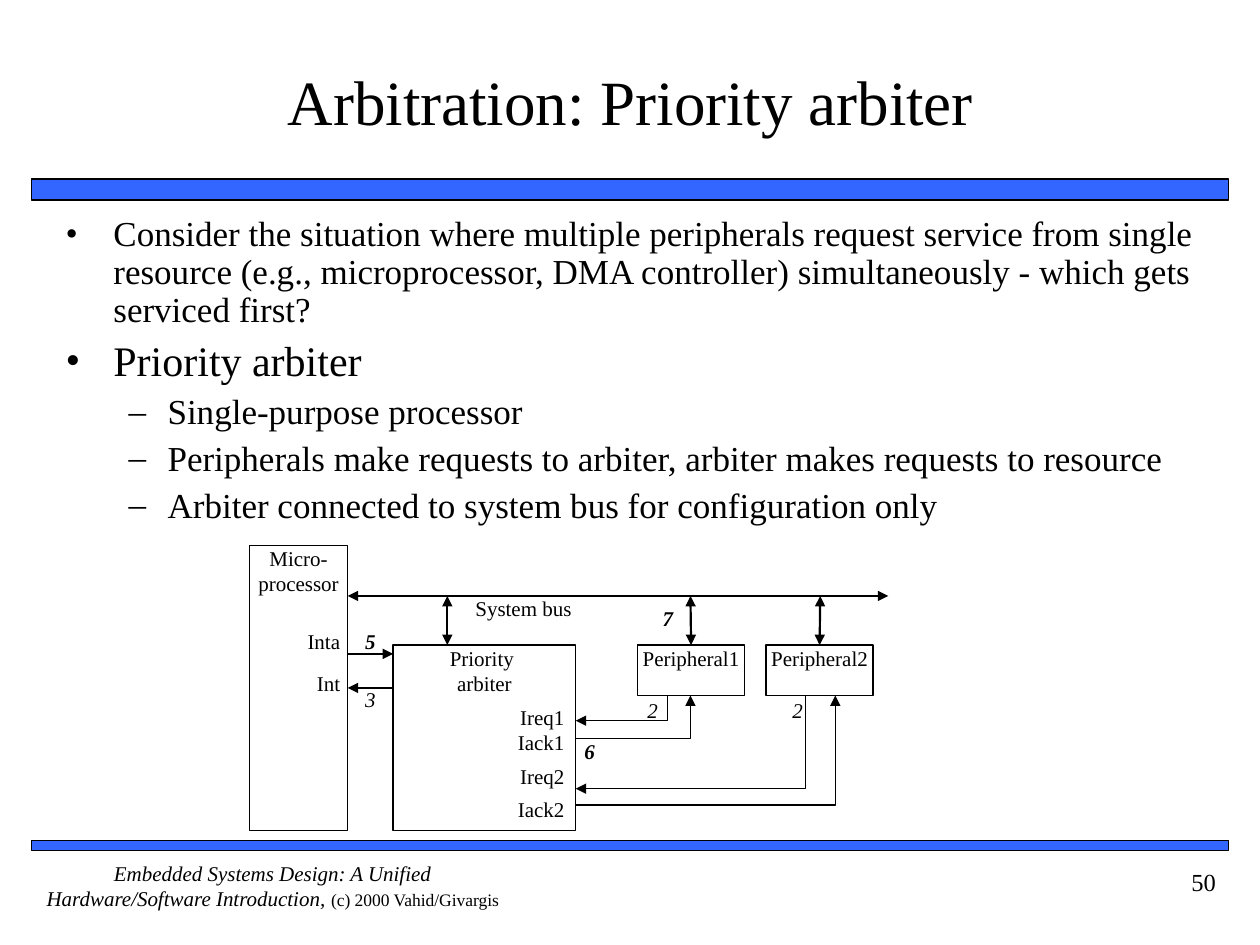
from dataclasses import dataclass

from lxml.etree import SubElement
from pptx import Presentation
from pptx.dml.color import RGBColor
from pptx.enum.shapes import MSO_CONNECTOR, MSO_SHAPE
from pptx.enum.text import MSO_ANCHOR, MSO_AUTO_SIZE, PP_ALIGN as Align
from pptx.oxml.ns import qn
from pptx.util import Inches, Pt


@dataclass(frozen=True)
class Theme:
    font: str = "Times New Roman"
    ink: RGBColor = RGBColor(0, 0, 0)
    paper: RGBColor = RGBColor(255, 255, 255)
    bar: RGBColor = RGBColor(0x33, 0x66, 0xFF)
    title: float = 36
    heading: float = 24
    body: float = 20
    number: float = 14
    label: float = 12
    credit: float = 10
    thin: float = 0.75
    bus: float = 1.25


@dataclass(frozen=True)
class Box:
    left: float
    top: float
    width: float
    height: float
    text: str = ""


@dataclass(frozen=True)
class Label:
    text: str
    left: float
    top: float
    width: float = 0.12
    align: Align = Align.CENTER
    bold: bool = False
    italic: bool = False


@dataclass(frozen=True)
class Bullet:
    text: str
    level: int = 0
    size: float = 20
    before: float = 5


THEME = Theme()


def style_run(run, size: float, bold: bool = False, italic: bool = False) -> None:
    font = run.font
    font.name, font.size, font.bold, font.italic = THEME.font, Pt(size), bold, italic
    font.color.rgb = THEME.ink


def set_margins(frame, x: float = 0, y: float = 0) -> None:
    frame.word_wrap = True
    frame.auto_size = MSO_AUTO_SIZE.NONE
    frame.margin_left = frame.margin_right = Inches(x)
    frame.margin_top = frame.margin_bottom = Inches(y)


def place(shape, box: Box) -> None:
    shape.left, shape.top = Inches(box.left), Inches(box.top)
    shape.width, shape.height = Inches(box.width), Inches(box.height)


def add_box(slide, box: Box, fill: RGBColor, weight: float):
    shape = slide.shapes.add_shape(
        MSO_SHAPE.RECTANGLE, *map(Inches, (box.left, box.top, box.width, box.height)))
    shape.shadow.inherit = False
    shape.fill.solid()
    shape.fill.fore_color.rgb = fill
    shape.line.color.rgb = THEME.ink
    shape.line.width = Pt(weight)
    if box.text:
        frame = shape.text_frame
        set_margins(frame)
        frame.vertical_anchor = MSO_ANCHOR.TOP
        frame.text = box.text
        for paragraph in frame.paragraphs:
            paragraph.alignment = Align.CENTER
            style_run(paragraph.runs[0], THEME.label)
    return shape


def add_text(slide, label: Label, height: float = 0.2, size: float = THEME.label):
    area = slide.shapes.add_textbox(
        *map(Inches, (label.left, label.top, label.width, height)))
    set_margins(area.text_frame)
    area.text_frame.text = label.text
    paragraph = area.text_frame.paragraphs[0]
    paragraph.alignment = label.align
    style_run(paragraph.runs[0], size, label.bold, label.italic)
    return area


def style_arrow(arrow, weight: float, both: bool = False) -> None:
    arrow.line.color.rgb = THEME.ink
    arrow.line.width = Pt(weight)
    properties = arrow._element.spPr
    outline = properties.find(qn("a:ln"))
    for end in ("a:headEnd", "a:tailEnd") if both else ("a:tailEnd",):
        SubElement(outline, qn(end), type="triangle")


def add_arrow(slide, start: tuple, end: tuple, weight: float, both: bool = False):
    arrow = slide.shapes.add_connector(
        MSO_CONNECTOR.STRAIGHT, *map(Inches, (*start, *end)))
    style_arrow(arrow, weight, both)
    SubElement(arrow._element.spPr, qn("a:effectLst"))
    return arrow


def add_route(slide, points: list[tuple]) -> None:
    start, *rest = [(Inches(x), Inches(y)) for x, y in points]
    builder = slide.shapes.build_freeform(*start)
    builder.add_line_segments(rest, close=False)
    route = builder.convert_to_shape()
    route.shadow.inherit = False
    route.fill.background()
    style_arrow(route, THEME.thin)


def write_bullets(frame, bullets: list[Bullet]) -> None:
    frame.text = "\n".join(bullet.text for bullet in bullets)
    for paragraph, bullet in zip(frame.paragraphs, bullets):
        paragraph.level = bullet.level
        paragraph.line_spacing = 0.9
        paragraph.space_before = Pt(bullet.before)
        style_run(paragraph.runs[0], bullet.size)
        mark, margin, hang = (("•", 0.38, 0.38), ("–", 0.81, 0.31))[bullet.level]
        properties = paragraph._p.get_or_add_pPr()
        properties.set("marL", str(Inches(margin)))
        properties.set("indent", str(-Inches(hang)))
        SubElement(properties, qn("a:buFont"), typeface=THEME.font)
        SubElement(properties, qn("a:buChar"), char=mark)


def add_frame(slide) -> None:
    # Coloured bars, footer and page number
    for bar in (Box(0.25, 1.42, 9.5, 0.17), Box(0.25, 6.67, 9.5, 0.08)):
        add_box(slide, bar, THEME.bar, 1)
    footer = add_text(slide, Label(
        "Embedded Systems Design: A Unified Hardware/Software Introduction, ",
        0.25, 6.83, 3.83, italic=True), 0.5)
    credit = footer.text_frame.paragraphs[0].add_run()
    credit.text = "(c) 2000 Vahid/Givargis"
    style_run(credit, THEME.credit)
    number = add_text(slide, Label("50", 8.75, 6.83, 1, Align.RIGHT), 0.5, THEME.number)
    set_margins(number.text_frame, 0.1, 0.05)
    number.text_frame.paragraphs[0].space_before = Pt(8.8)


def add_content(slide) -> None:
    title, body = slide.shapes.title, slide.placeholders[1]
    place(title, Box(0.42, 0.17, 9.17, 1.25))
    set_margins(title.text_frame, 0, 0.05)
    title.text_frame.vertical_anchor = MSO_ANCHOR.MIDDLE
    title.text_frame.text = "Arbitration: Priority arbiter"
    title.text_frame.paragraphs[0].alignment = Align.CENTER
    style_run(title.text_frame.paragraphs[0].runs[0], THEME.title)

    place(body, Box(0.42, 1.67, 9.17, 2.63))
    set_margins(body.text_frame, 0.1, 0.05)
    write_bullets(body.text_frame, [
        Bullet("Consider the situation where multiple peripherals request service from "
               "single resource (e.g., microprocessor, DMA controller) simultaneously "
               "- which gets serviced first?"),
        Bullet("Priority arbiter", size=THEME.heading, before=6),
        Bullet("Single-purpose processor", 1),
        Bullet("Peripherals make requests to arbiter, arbiter makes requests to resource", 1),
        Bullet("Arbiter connected to system bus for configuration only", 1),
    ])


def add_diagram(slide) -> None:
    bus_y, block_y, port_y = 4.73, 5.12, 5.52
    cpu_right, arbiter_left, arbiter_right = 2.76, 3.12, 4.57

    # Blocks
    processor, _, *peripherals = [add_box(slide, box, THEME.paper, THEME.thin) for box in (
        Box(1.98, 4.33, 0.78, 2.26, "Micro-processor"),
        Box(arbiter_left, block_y, 1.45, 1.47, "Priority \narbiter"),
        Box(5.06, block_y, 0.85, 0.4, "Peripheral1"),
        Box(6.08, block_y, 0.85, 0.4, "Peripheral2"))]

    # System bus and its taps
    add_arrow(slide, (cpu_right, bus_y), (7.05, bus_y), THEME.bus, both=True)
    add_arrow(slide, (3.55, bus_y), (3.55, block_y), THEME.bus, both=True)
    for x, peripheral in zip((5.48, 6.51), peripherals):
        tap = add_arrow(slide, (x, bus_y), (x, block_y), THEME.bus, both=True)
        tap.end_connect(peripheral, 0)

    # Interrupt lines
    interrupt = add_arrow(slide, (arbiter_left, 5.46), (cpu_right, 5.46), THEME.thin)
    interrupt.end_connect(processor, 3)
    add_arrow(slide, (cpu_right, 5.19), (arbiter_left, 5.19), THEME.thin)

    # Request and acknowledge routes of each peripheral
    for request_x, request_y, ack_x, ack_y in ((5.3, 5.72, 5.48, 5.86),
                                               (6.39, 6.26, 6.63, 6.39)):
        add_route(slide, [(request_x, port_y), (request_x, request_y),
                          (arbiter_right, request_y)])
        add_route(slide, [(arbiter_right, ack_y), (ack_x, ack_y), (ack_x, port_y)])

    # Signal names and step numbers
    add_text(slide, Label("System bus", 3.49, bus_y, 1.33))
    for name, y in (("Inta", 4.99), ("Int", 5.32)):
        add_text(slide, Label(name, 2.4, y, 0.3, Align.RIGHT))
    for name, y in (("Ireq1", 5.59), ("Iack1", 5.79), ("Ireq2", 6.06), ("Iack2", 6.32)):
        add_text(slide, Label(name, 4, y, 0.48, Align.RIGHT))
    for step, x, y, bold in (("3", 2.88, 5.45, False), ("5", 2.88, 4.99, True),
                             ("7", 5.24, 4.81, True), ("2", 5.12, 5.54, False),
                             ("2", 6.27, 5.54, False), ("6", 4.62, 5.86, True)):
        add_text(slide, Label(step, x, y, bold=bold, italic=True))


def main() -> None:
    deck = Presentation()
    deck.slide_width, deck.slide_height = Inches(10), Inches(7.5)
    slide = deck.slides.add_slide(deck.slide_layouts[1])
    add_frame(slide)
    add_content(slide)
    add_diagram(slide)
    deck.save("out.pptx")


if __name__ == "__main__":
    main()
